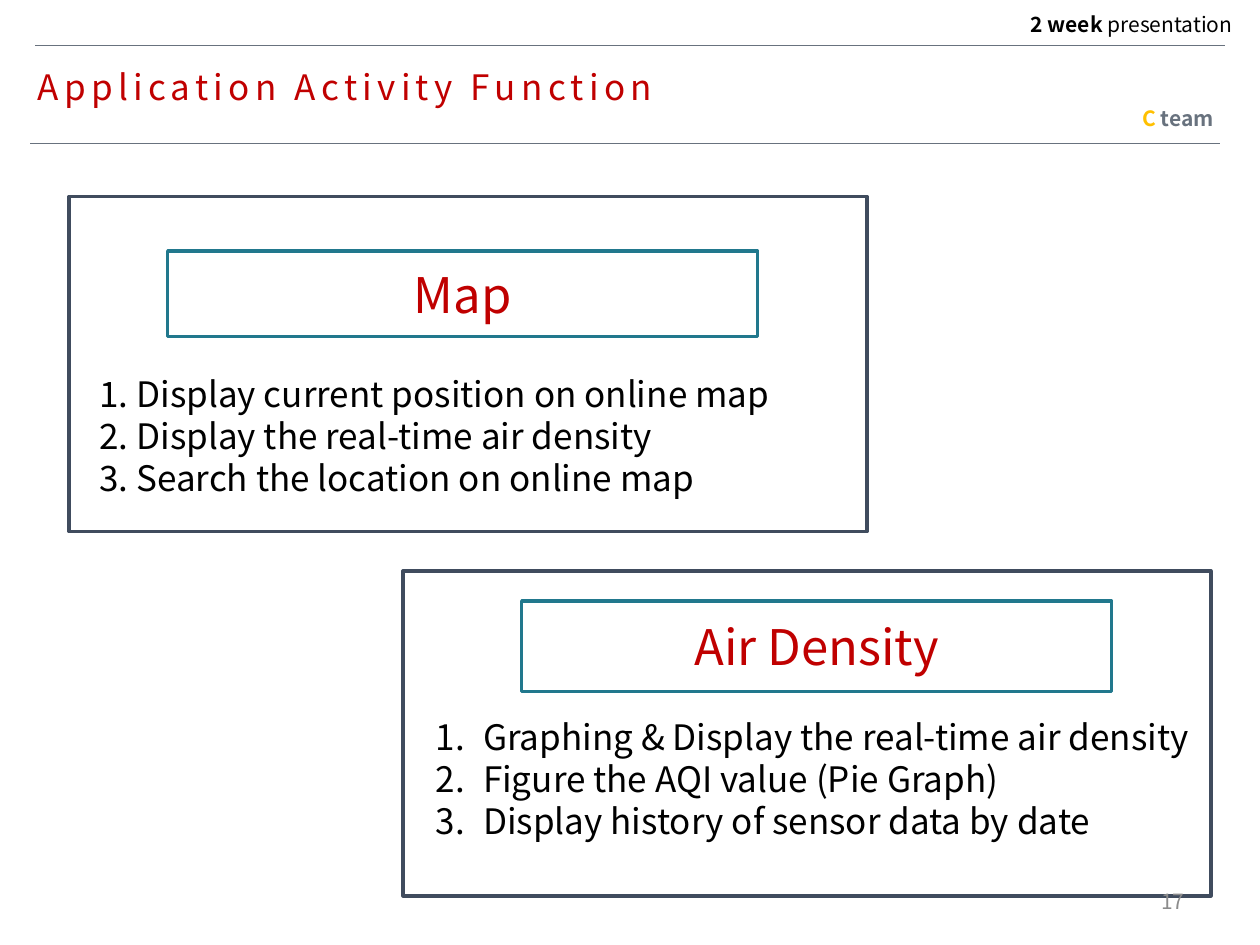
"""Build the Application Activity Function slide."""
import pptx
import pptx.dml.color
import pptx.enum.shapes
import pptx.enum.text
import pptx.oxml
import pptx.oxml.ns
import pptx.util

Pt = pptx.util.Pt
Align = pptx.enum.text.PP_ALIGN
Anchor = pptx.enum.text.MSO_ANCHOR
FONT = "Noto Sans CJK KR"
RED, BLACK, SLATE, NAVY, TEAL = "C00000", "000000", "68727E", "404C5E", "21788D"


def color(value):
    return pptx.dml.color.RGBColor.from_string(value)


def write(box, lines, size, fill, align=Align.LEFT, anchor=Anchor.TOP, grow=True):
    frame = box.text_frame
    frame.word_wrap = True
    frame.vertical_anchor = anchor
    if grow:
        frame.auto_size = pptx.enum.text.MSO_AUTO_SIZE.SHAPE_TO_FIT_TEXT
    frame.text = "\n".join(lines)
    for para in frame.paragraphs:
        para.alignment = align
        for span in para.runs:
            span.font.name = FONT
            span.font.size = Pt(size)
            span.font.color.rgb = color(fill)
    return frame.paragraphs


deck = pptx.Presentation()
deck.slide_width, deck.slide_height = Pt(720), Pt(540)
page = deck.slides.add_slide(deck.slide_layouts[6])

labels = [
    (563.8, 5.8, [("2 week ", BLACK, True), ("presentation", BLACK, False)]),
    (553, 59.8, [("C", "FFC000", True), (" team", SLATE, True)]),
]
for left, top, parts in labels:
    box = page.shapes.add_textbox(Pt(left), Pt(top), Pt(147.6), Pt(18.7))
    para = write(box, [parts[0][0]], 12, parts[0][1], Align.RIGHT)[0]
    para.line_spacing = 0.8
    para.add_run().text = parts[1][0]
    for span, (words, fill, bold) in zip(para.runs, parts):
        span.font.name = FONT
        span.font.size = Pt(12)
        span.font.bold = bold
        span.font.color.rgb = color(fill)

for left, top in [(20.2, 25.9), (17.3, 82.1)]:
    rule = page.shapes.add_connector(
        pptx.enum.shapes.MSO_CONNECTOR.STRAIGHT,
        Pt(left), Pt(top), Pt(left + 680), Pt(top))
    rule.line.color.rgb = color(SLATE)
    rule.line.width = Pt(0.25)
    rule._element.spPr.append(pptx.oxml.parse_xml(
        f"<a:effectLst {pptx.oxml.ns.nsdecls('a')}/>"))

title = page.shapes.add_textbox(Pt(14.4), Pt(36.7), Pt(391), Pt(28.8))
para = write(title, ["Application Activity Function"], 20, RED)[0]
para.line_spacing = 0.9
para.runs[0]._r.get_or_add_rPr().set("spc", "300")

panels = [
    ("Air Density", (230.4, 326.2, 461.5, 185.8), (298.1, 343.4, 337, 51.8),
     (241.9, 405.4, 450, 104.4), True,
     ["Graphing & Display the real-time air density",
      "Figure the AQI value (Pie Graph)",
      "Display history of sensor data by date"]),
    ("Map", (39.6, 112.3, 455.8, 191.5), (95.8, 143.3, 337, 49),
     (49.7, 209.5, 443.5, 94.3), False,
     ["1. Display current position on online map",
      "2. Display the real-time air density",
      "3. Search the location on online map"]),
]
for heading, outer, inner, body, numbered, items in panels:
    group = page.shapes.add_group_shape()
    for bounds, stroke in [(outer, NAVY), (inner, TEAL)]:
        frame_box = group.shapes.add_shape(
            pptx.enum.shapes.MSO_SHAPE.RECTANGLE, *map(Pt, bounds))
        frame_box.shadow.inherit = False
        frame_box.fill.background()
        frame_box.line.color.rgb = color(stroke)
        frame_box.line.width = Pt(2)
    write(frame_box, [heading], 28, RED, Align.CENTER, Anchor.MIDDLE, False)
    box = group.shapes.add_textbox(*map(Pt, body))
    for para in write(box, items, 20, BLACK):
        if numbered:
            properties = para._p.get_or_add_pPr()
            properties.set("marL", str(Pt(27)))
            properties.set("indent", str(-Pt(27)))
            properties.append(pptx.oxml.parse_xml(
                f"<a:buAutoNum {pptx.oxml.ns.nsdecls('a')} type='arabicPeriod'/>"))

number = page.shapes.add_textbox(Pt(516.2), Pt(500.4), Pt(167.8), Pt(28.8))
write(number, ["17"], 12, "8C8C8C", Align.RIGHT, Anchor.MIDDLE, False)

deck.save("out.pptx")
